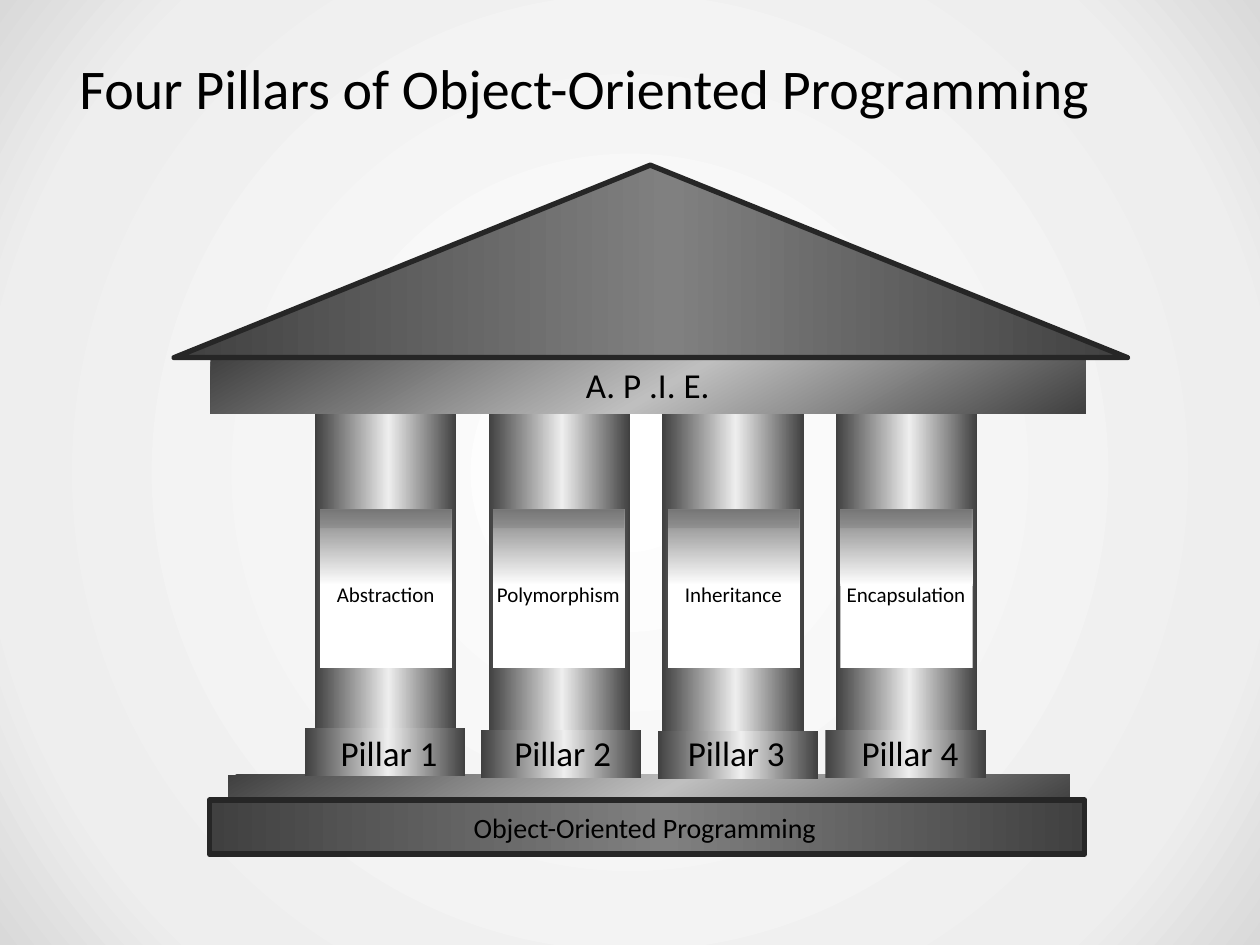
from lxml import etree
from pptx import Presentation
from pptx.dml.color import RGBColor
from pptx.enum.shapes import MSO_SHAPE
from pptx.enum.text import MSO_ANCHOR, PP_ALIGN
from pptx.oxml.ns import qn
from pptx.util import Cm, Pt

RECT = MSO_SHAPE.RECTANGLE
MIDDLE = MSO_ANCHOR.MIDDLE
LEFT, CENTER = PP_ALIGN.LEFT, PP_ALIGN.CENTER

STONE = [(0, "404040"), (52, "EEEEEE"), (100, "404040")]
BEAM = [(0, "404040"), (52, "BFBFBF"), (100, "404040")]
DARK = [(0, "404040"), (52, "808080"), (100, "404040")]
PANEL = [(0, "FFFFFF"), (52, "FFFFFF"), (100, "808080")]
BACKDROP = [(0, "FFFFFF"), (81, "EEEEEE"), (100, "D9D9D9")]


def paint(parent, stops, angle=None, alpha=100):
    """Replace a solid fill by a gradient; without an angle it is circular."""
    solid = parent.find(qn("a:solidFill"))
    grad = etree.Element(qn("a:gradFill"), rotWithShape="1")
    gs_list = etree.SubElement(grad, qn("a:gsLst"))
    for pos, color in stops:
        gs = etree.SubElement(gs_list, qn("a:gs"), pos=str(pos * 1000))
        etree.SubElement(gs, qn("a:srgbClr"), val=color)
    if angle is None:
        ring = etree.SubElement(grad, qn("a:path"), path="circle")
        etree.SubElement(ring, qn("a:fillToRect"), l="50000", t="50000", r="50000", b="50000")
    else:
        etree.SubElement(grad, qn("a:lin"), ang=str(angle * 60000), scaled="0")
    parent.replace(solid, grad)


def add_text(shapes, box, words, size, align=CENTER):
    tb = shapes.add_textbox(*map(Cm, box))
    tf = tb.text_frame
    tf.word_wrap = True
    tf.vertical_anchor = MIDDLE
    p = tf.paragraphs[0]
    p.text = words
    p.alignment = align
    p.font.name = "Calibri"
    p.font.size = Pt(size)
    p.font.color.rgb = RGBColor.from_string("000000")
    return tf


prs = Presentation()
prs.slide_width, prs.slide_height = Cm(25.4), Cm(19.05)
slide = prs.slides.add_slide(prs.slide_layouts[6])
shapes = slide.shapes
shaded = []  # (shape, gradient stops, angle)

# Background
slide.background.fill.solid()
paint(slide.background._cSld.find(".//" + qn("p:bgPr")), BACKDROP)

# Title
tf = add_text(shapes, (1.27, 0.76, 22.86, 1.98), "Four Pillars of Object-Oriented Programming", 32, LEFT)
tf.margin_left = tf.margin_right = Cm(0.33)
tf.margin_top = tf.margin_bottom = Cm(0.18)

# Pillar shafts
pitch = 3.5
for i in range(4):
    shaft = shapes.add_shape(RECT, *map(Cm, (6.35 + i * pitch, 8.2, 2.85, 7.57)))
    shaded.append((shaft, STONE, 0))

# Beam, step and base
beam = shapes.add_shape(RECT, *map(Cm, (4.24, 7.21, 17.65, 1.12)))
step = shapes.add_shape(RECT, *map(Cm, (4.6, 15.62, 16.97, 0.61)))
base = shapes.add_shape(RECT, *map(Cm, (4.22, 16.13, 17.65, 1.09)))
shaded += [(beam, BEAM, 60), (step, BEAM, 60), (base, DARK, 0)]

# Roof
fb = shapes.build_freeform(Cm(13.11), Cm(3.33))
fb.add_line_segments([(Cm(22.73), Cm(7.21)), (Cm(3.51), Cm(7.21))], close=True)
roof = fb.convert_to_shape()
shaded.append((roof, DARK, 0))

add_text(shapes, (7.65, 7.19, 10.82, 1.12), "A. P .I. E.", 20)
add_text(shapes, (7.59, 16.21, 10.82, 0.94), "Object-Oriented Programming", 16)

# Panels and plinths: name, panel left, plinth left, plinth top
pillars = [
    ("Abstraction", 6.45, 6.15, 14.68),
    ("Polymorphism", 9.93, 9.7, 14.71),
    ("Inheritance", 13.46, 13.26, 14.73),
    ("Encapsulation", 16.94, 16.64, 14.71),
]
for i, (name, panel_x, plinth_x, plinth_y) in enumerate(pillars):
    group = shapes.add_group_shape().shapes
    panel = group.add_shape(RECT, *map(Cm, (panel_x, 10.27, 2.67, 3.2)))
    shaded.append((panel, PANEL, 270))
    band = group.add_shape(RECT, *map(Cm, (panel_x - 0.02, 10.27, 2.67, 0.38)))
    band.shadow.inherit = False
    band.line.fill.background()
    band.fill.solid()
    band.fill.fore_color.rgb = RGBColor.from_string("404040")
    color = band._element.spPr.find(".//" + qn("a:srgbClr"))
    etree.SubElement(color, qn("a:alpha"), val="14000")
    add_text(group, (panel_x - 0.25, 11.6, 3.15, 0.76), name, 12)

    plinth = shapes.add_shape(RECT, *map(Cm, (plinth_x, plinth_y, 3.23, 0.97)))
    shaded.append((plinth, STONE, 0))
    add_text(shapes, (6.27 + i * pitch, 14.61, 3.15, 1.12), f"Pillar {i + 1}", 20)

# Gradients and outlines
for sp, stops, angle in shaded:
    sp.shadow.inherit = False
    sp.line.fill.background()
    sp.fill.solid()
    paint(sp._element.spPr, stops, angle)
for sp in (base, roof):
    sp.line.color.rgb = RGBColor.from_string("262626")
    sp.line.width = Pt(3)

prs.save("out.pptx")
